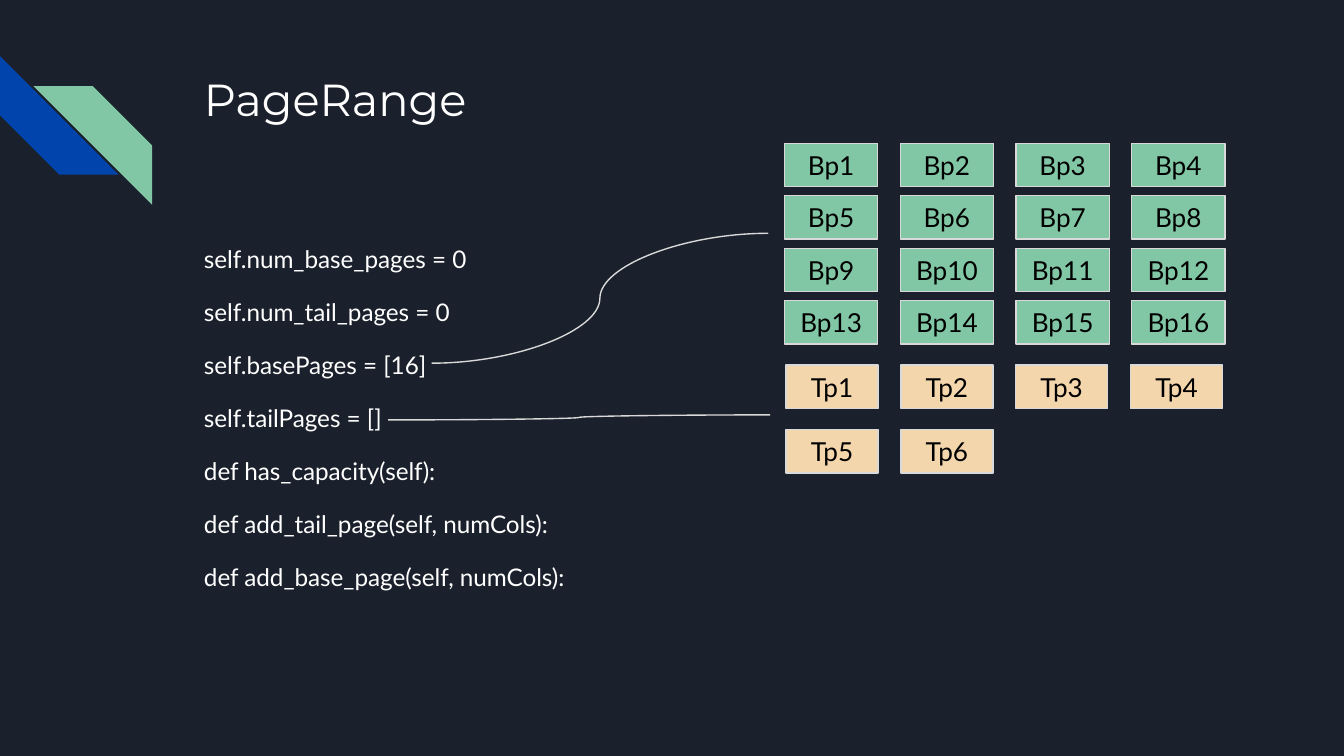
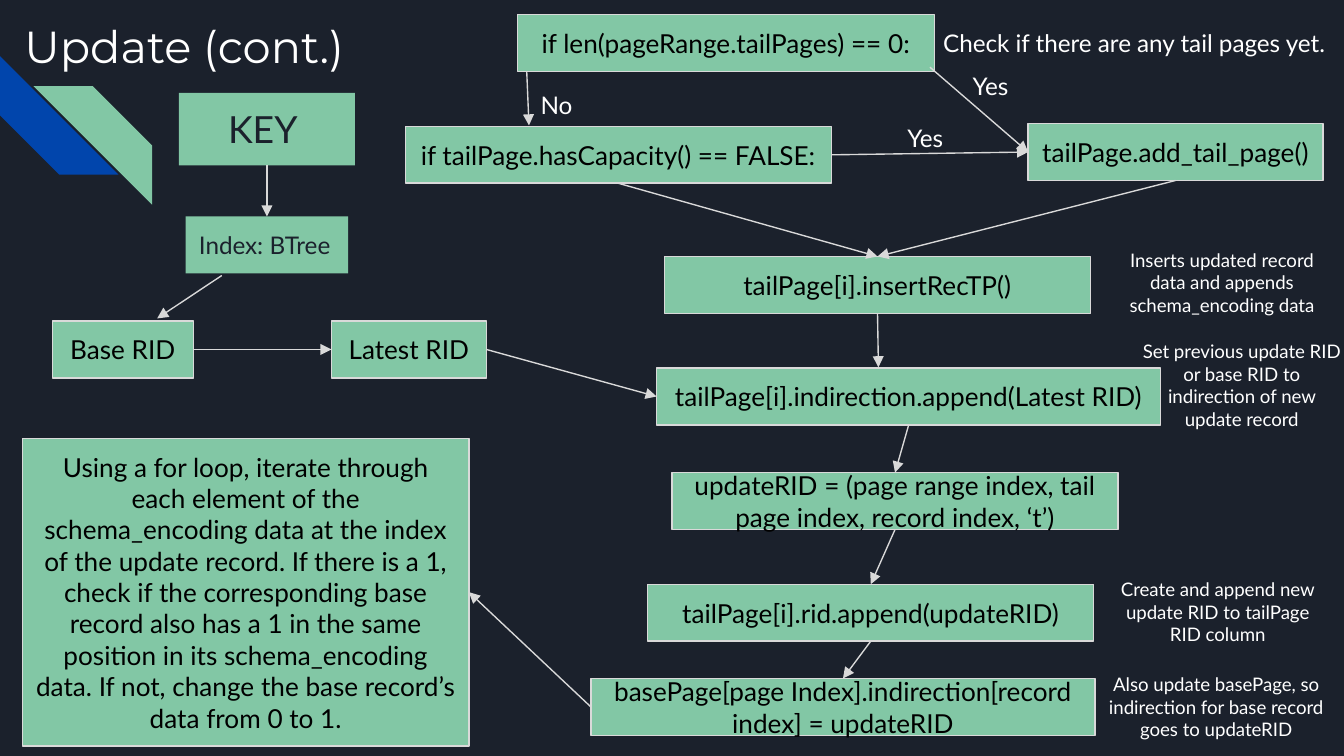
from dataclasses import dataclass

from lxml import etree
from pptx import Presentation
from pptx import util as u
from pptx.dml.color import RGBColor
from pptx.enum import shapes, text
from pptx.oxml.ns import qn

Pt = u.Pt
TOP, LEFT, BOTTOM, RIGHT = range(4)
CENTER = text.PP_ALIGN.CENTER
MIDDLE = text.MSO_ANCHOR.MIDDLE


@dataclass(frozen=True)
class Theme:
    night: str = "1B212C"
    blue: str = "0145AC"
    green: str = "82C7A5"
    sand: str = "F4D6AD"
    grey: str = "D9D9D9"
    white: str = "FFFFFF"
    black: str = "000000"
    heading_font: str = "Montserrat"
    body_font: str = "Lato"
    title: int = 24
    key: int = 20
    box: int = 14
    body: int = 13
    note: int = 10
    inset: float = 7.2
    line: float = 0.75


def rgb(value):
    return RGBColor.from_string(value)


def write(sp, content, *, font, size, color, align=None, anchor=text.MSO_ANCHOR.TOP,
          inset=7.2, spacing=None, before=0):
    tf = sp.text_frame
    tf.word_wrap = True
    tf.vertical_anchor = anchor
    tf.margin_left = tf.margin_right = tf.margin_top = tf.margin_bottom = Pt(inset)
    for i, line in enumerate(content.split("\n")):
        p = tf.paragraphs[0] if i == 0 else tf.add_paragraph()
        p.alignment = align or text.PP_ALIGN.LEFT
        p.line_spacing = spacing
        if i:
            p.space_before = Pt(before)
        r = p.add_run()
        r.text = line
        r.font.name = font
        r.font.size = Pt(size)
        r.font.color.rgb = rgb(color)


class Deck:
    def __init__(self, theme):
        self.theme = theme
        self.prs = Presentation()
        self.prs.slide_width, self.prs.slide_height = Pt(720), Pt(405)
        self.s = None

    def slide(self, title, left, top):
        t = self.theme
        self.s = self.prs.slides.add_slide(self.prs.slide_layouts[6])
        fill = self.s.background.fill
        fill.solid()
        fill.fore_color.rgb = rgb(t.night)
        stripe = shapes.MSO_SHAPE.DIAGONAL_STRIPE
        self.shape(stripe, 0, 30, 63.5, 63.5, t.blue).rotation = 270
        green = self.shape(stripe, 18, 46.2, 63.5, 63.5, t.green)
        green.element.spPr.get_or_add_xfrm().set("flipH", "1")
        self.text(title, left, top, 554, 72, font=t.heading_font, size=t.title)

    def shape(self, kind, x, y, w, h, fill, outline=None):
        sp = self.s.shapes.add_shape(kind, Pt(x), Pt(y), Pt(w), Pt(h))
        sp.shadow.inherit = False
        sp.fill.solid()
        sp.fill.fore_color.rgb = rgb(fill)
        if outline:
            sp.line.color.rgb = rgb(outline)
            sp.line.width = Pt(self.theme.line)
        else:
            sp.line.fill.background()
        return sp

    def box(self, content, x, y, w, h=30.5, fill=None, outlined=True, **fmt):
        t = self.theme
        sp = self.shape(shapes.MSO_SHAPE.RECTANGLE, x, y, w, h, fill or t.green,
                        t.grey if outlined else None)
        style = dict(font=t.body_font, size=t.box, color=t.black, align=CENTER,
                     anchor=MIDDLE, inset=t.inset)
        write(sp, content, **{**style, **fmt})
        return sp

    def text(self, content, x, y, w, h, **fmt):
        t = self.theme
        sp = self.s.shapes.add_textbox(Pt(x), Pt(y), Pt(w), Pt(h))
        style = dict(font=t.body_font, size=t.body, color=t.white, inset=t.inset)
        write(sp, content, **{**style, **fmt})

    def grid(self, prefix, count, x, y, w, h, dx, dy, fill):
        for i in range(count):
            row, col = divmod(i, 4)
            self.box(f"{prefix}{i + 1}", x + col * dx, y + row * dy, w, h, fill)

    def connector(self, kind, begin=(0, 0), end=(0, 0)):
        c = self.s.shapes.add_connector(kind, *(Pt(v) for v in (*begin, *end)))
        c.line.color.rgb = rgb(self.theme.grey)
        c.line.width = Pt(self.theme.line)
        etree.SubElement(c.element.spPr, qn("a:effectLst"))
        return c

    def curve(self, begin, end):
        self.connector(shapes.MSO_CONNECTOR.CURVE, begin, end)

    def arrow(self, begin, end):
        joins = [hasattr(place[0], "shape_id") for place in (begin, end)]
        points = [(0, 0) if joined else place
                  for place, joined in zip((begin, end), joins)]
        c = self.connector(shapes.MSO_CONNECTOR.STRAIGHT, *points)
        if joins[0]:
            c.begin_connect(*begin)
        if joins[1]:
            c.end_connect(*end)
        etree.SubElement(c.line._get_or_add_ln(), qn("a:tailEnd"), type="triangle")


def page_range(d):
    t = d.theme
    d.slide("PageRange", 102.2, 31)
    members = (
        "self.num_base_pages = 0\n"
        "self.num_tail_pages = 0\n"
        "self.basePages = [16]\n"
        "self.tailPages = []\n"
        "def has_capacity(self):\n"
        "def add_tail_page(self, numCols):\n"
        "def add_base_page(self, numCols):"
    )
    d.text(members, 102.2, 123.1, 226, 229, spacing=1.05, before=12)
    d.grid("Bp", 16, 420.3, 76.8, 50, 23.2, 62, 28.1, t.green)
    d.grid("Tp", 6, 421.2, 195.6, 49.2, 23.2, 61.5, 34.7, t.sand)
    d.curve((231.2, 194.6), (411.6, 125))
    d.curve((208, 225), (412.6, 222.3))


def update(d):
    t = d.theme
    d.slide("Update (cont.)", 6, 2.9)

    key = d.box("KEY ", 95.8, 49.8, 94.4, 38.8, outlined=False, size=t.key,
                color=t.night, anchor=text.MSO_ANCHOR.TOP)
    index = d.box("Index: BTree", 99.5, 116, 87, outlined=False, size=t.body,
                  color=t.night, align=text.PP_ALIGN.LEFT, anchor=text.MSO_ANCHOR.TOP)
    base = d.box("Base RID", 28, 172, 75.6)
    latest = d.box("Latest RID", 177.6, 172, 83)
    d.box("if len(pageRange.tailPages) == 0:", 277.2, 7.8, 223.4)
    capacity = d.box("if tailPage.hasCapacity() == FALSE:", 217.2, 67.7, 228.2)
    add_page = d.box("tailPage.add_tail_page()", 550.8, 66.2, 158)
    insert = d.box("tailPage[i].insertRecTP()", 356, 137.4, 228.2)
    indirection = d.box("tailPage[i].indirection.append(Latest RID)", 351.8, 197.2, 270)
    rid = d.box("updateRID = (page range index, tail page index, record index, ‘t’)",
                360, 253.2, 239)
    append = d.box("tailPage[i].rid.append(updateRID)", 347, 313, 239)
    base_page = d.box("basePage[page Index].indirection[record index] = updateRID",
                      316.6, 363.5, 270)
    loop = d.box(
        "Using a for loop, iterate through each element of the schema_encoding data "
        "at the index of the update record. If there is a 1, check if the corresponding "
        "base record also has a 1 in the same position in its schema_encoding data. "
        "If not, change the base record’s data from 0 to 1.", 12.2, 234.8, 239, 164.9)

    for begin, end in (
        ((key, BOTTOM), (index, TOP)),
        ((118.8, 147.6), (84.2, 170.6)),
        ((base, RIGHT), (latest, LEFT)),
        ((latest, RIGHT), (indirection, LEFT)),
        ((498.2, 36), (add_page, LEFT)),
        ((282.2, 38.6), (283.4, 67.2)),
        ((capacity, RIGHT), (add_page, LEFT)),
        ((capacity, BOTTOM), (insert, TOP)),
        ((add_page, BOTTOM), (insert, TOP)),
        ((insert, BOTTOM), (470.6, 196.8)),
        ((indirection, BOTTOM), (rid, TOP)),
        ((rid, BOTTOM), (append, TOP)),
        ((append, BOTTOM), (base_page, TOP)),
        ((base_page, LEFT), (loop, RIGHT)),
    ):
        d.arrow(begin, end)

    for label, x, y, w in (
        ("Check if there are any tail pages yet.", 498.2, 7.8, 220),
        ("Yes", 514, 31, 34.6),
        ("No", 282.5, 41, 34.6),
        ("Yes", 479, 59, 34.6),
    ):
        d.text(label, x, y, w, 29)

    for note, x, y, w in (
        ("Inserts updated record data and appends schema_encoding data", 592, 126, 125.3),
        ("Set previous update RID or base RID to indirection of new update record",
         602.6, 175, 125.3),
        ("Create and append new update RID to tailPage RID column", 589.7, 302.4, 125.3),
        ("Also update basePage, so indirection for base record goes to updateRID",
         586, 353.5, 131),
    ):
        d.text(note, x, y, w, 25.2, size=t.note, align=CENTER)


def main():
    d = Deck(Theme())
    page_range(d)
    update(d)
    d.prs.save("out.pptx")


if __name__ == "__main__":
    main()
